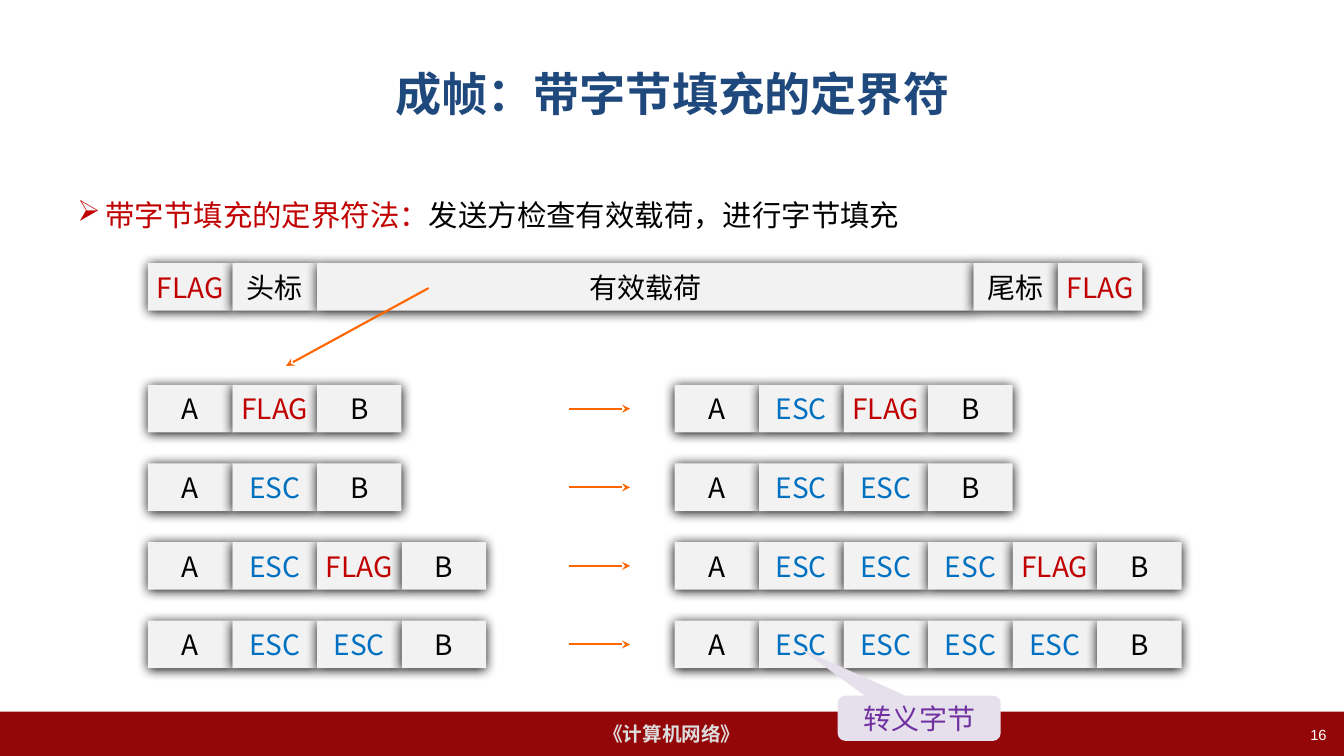
from lxml import etree
from pptx import Presentation
from pptx.dml.color import RGBColor
from pptx.enum.shapes import MSO_CONNECTOR, MSO_SHAPE
from pptx.enum.text import MSO_ANCHOR, PP_ALIGN
from pptx.oxml.ns import qn
from pptx.util import Cm, Pt

RECTANGLE = MSO_SHAPE.RECTANGLE
CALLOUT = MSO_SHAPE.ROUNDED_RECTANGULAR_CALLOUT
STRAIGHT = MSO_CONNECTOR.STRAIGHT
MIDDLE, TOP = MSO_ANCHOR.MIDDLE, MSO_ANCHOR.TOP
LEFT, CENTER, RIGHT = PP_ALIGN.LEFT, PP_ALIGN.CENTER, PP_ALIGN.RIGHT

SANS = "Noto Sans CJK SC"
COLORS = {
    "title": "1F497D", "flag": "C00000", "escape": "0070C0", "text": "000000",
    "cell": "F2F2F2", "arrow": "FF6600", "footer": "940709",
    "footer_text": "DDDDDD", "page": "FFFFFF",
    "callout": "E6E0EC", "callout_text": "7030A0",
}
TOKEN_COLORS = {"FLAG": "flag", "ESC": "escape"}

SLIDE_WIDTH, SLIDE_HEIGHT = 33.87, 19.05
CELL_WIDTH, CELL_HEIGHT = 2.13, 1.2
PAYLOAD_WIDTH = 16.54
BEFORE_LEFT, AFTER_LEFT = 3.73, 17
FRAME_TOP, FIRST_ROW_TOP, ROW_STEP = 6.63, 9.7, 1.98
ARROW_START, ARROW_END = 14.33, 15.88

FRAME = ["FLAG", "头标", "有效载荷", "尾标", "FLAG"]
STUFFING = [
    ("A FLAG B", "A ESC FLAG B"),
    ("A ESC B", "A ESC ESC B"),
    ("A ESC FLAG B", "A ESC ESC ESC FLAG B"),
    ("A ESC ESC B", "A ESC ESC ESC ESC B"),
]


def rgb(name):
    return RGBColor.from_string(COLORS[name])


def write(paragraph, text, *, size=20, color="text", font=SANS, bold=False, align=CENTER):
    paragraph.alignment = align
    run = paragraph.add_run()
    run.text = text
    run.font.name = font
    run.font.size = Pt(size)
    run.font.bold = bold
    run.font.color.rgb = rgb(color)
    etree.SubElement(run.font._element, qn("a:ea"), typeface=SANS)


class FramingSlide:
    def __init__(self, presentation):
        self.slide = presentation.slides.add_slide(presentation.slide_layouts[5])
        self.shapes = self.slide.shapes

    def title(self, text, box):
        title = self.shapes.title
        title.left, title.top, title.width, title.height = map(Cm, box)
        title.text_frame.vertical_anchor = MIDDLE
        write(title.text_frame.paragraphs[0], text, size=33, color="title", font="Arial", bold=True)

    def block(self, text, box, *, kind=RECTANGLE, fill="cell", parent=None, wrap=False, **style):
        block = (parent or self.shapes).add_shape(kind, *map(Cm, box))
        block.fill.solid()
        block.fill.fore_color.rgb = rgb(fill)
        block.line.fill.background()
        block.shadow.inherit = False
        frame = block.text_frame
        frame.margin_left = frame.margin_right = frame.margin_top = frame.margin_bottom = 0
        frame.vertical_anchor = MIDDLE
        frame.word_wrap = wrap
        write(frame.paragraphs[0], text, **style)
        return block

    def cell_row(self, tokens, left, top):
        row = self.shapes.add_group_shape().shapes
        for token in tokens:
            width = PAYLOAD_WIDTH if token == "有效载荷" else CELL_WIDTH
            cell = self.block(token, (left, top, width, CELL_HEIGHT), parent=row,
                              color=TOKEN_COLORS.get(token, "text"))
            effects = cell._element.spPr.find(qn("a:effectLst"))
            shadow = etree.SubElement(effects, qn("a:outerShdw"), blurRad=str(Pt(8.5)),
                                      dist=str(Pt(1)), dir="5400000", algn="t", rotWithShape="0")
            etree.SubElement(shadow, qn("a:srgbClr"), val=COLORS["text"])
            left += width

    def arrow(self, *ends):
        arrow = self.shapes.add_connector(STRAIGHT, *map(Cm, ends))
        arrow.line.color.rgb = rgb("arrow")
        arrow.line.width = Pt(1.5)
        properties = arrow._element.spPr
        etree.SubElement(properties.find(qn("a:ln")), qn("a:tailEnd"), type="stealth")
        etree.SubElement(properties, qn("a:effectLst"))

    def text_box(self, box):
        frame = self.shapes.add_textbox(*map(Cm, box)).text_frame
        frame.word_wrap = True
        frame.vertical_anchor = TOP
        return frame.paragraphs[0]

    def bullet(self, parts, box):
        paragraph = self.text_box(box)
        paragraph.line_spacing = Pt(36)
        properties = paragraph._p.get_or_add_pPr()
        properties.set("marL", str(Cm(0.71)))
        properties.set("indent", str(-Cm(0.71)))
        etree.SubElement(properties, qn("a:buChar"), char="➢")
        for text, color in parts:
            write(paragraph, text, size=21, color=color, font="Arial", align=LEFT)

    def page_number(self, text, box):
        write(self.text_box(box), text, size=10.5, color="page", font="Arial", align=RIGHT)


def main():
    presentation = Presentation()
    presentation.slide_width = Cm(SLIDE_WIDTH)
    presentation.slide_height = Cm(SLIDE_HEIGHT)
    framing = FramingSlide(presentation)

    framing.block("《计算机网络》", (0, 17.93, SLIDE_WIDTH, 1.12), fill="footer",
                  size=14, color="footer_text", font="Arial", bold=True)
    framing.title("成帧：带字节填充的定界符", (1.7, 0.76, 30.48, 3.18))
    framing.bullet([("带字节填充的定界符法：", "flag"),
                    ("发送方检查有效载荷，进行字节填充", "text")], (1.7, 4.45, 30.48, 1.6))

    framing.cell_row(FRAME, BEFORE_LEFT, FRAME_TOP)
    framing.arrow(10.8, 7.26, 7.21, 9.22)
    for index, (before, after) in enumerate(STUFFING):
        top = FIRST_ROW_TOP + index * ROW_STEP
        middle = top + CELL_HEIGHT / 2
        framing.cell_row(before.split(), BEFORE_LEFT, top)
        framing.arrow(ARROW_START, middle, ARROW_END, middle)
        framing.cell_row(after.split(), AFTER_LEFT, top)

    callout = framing.block("转义字节", (21.11, 17.53, 4.11, 1.14), kind=CALLOUT,
                            fill="callout", color="callout_text", wrap=True)
    for index, value in enumerate((-0.73, -1.54, 0.17)):
        callout.adjustments[index] = value
    framing.page_number("16", (25.78, 18.16, 7.9, 0.89))

    presentation.save("out.pptx")


if __name__ == "__main__":
    main()
